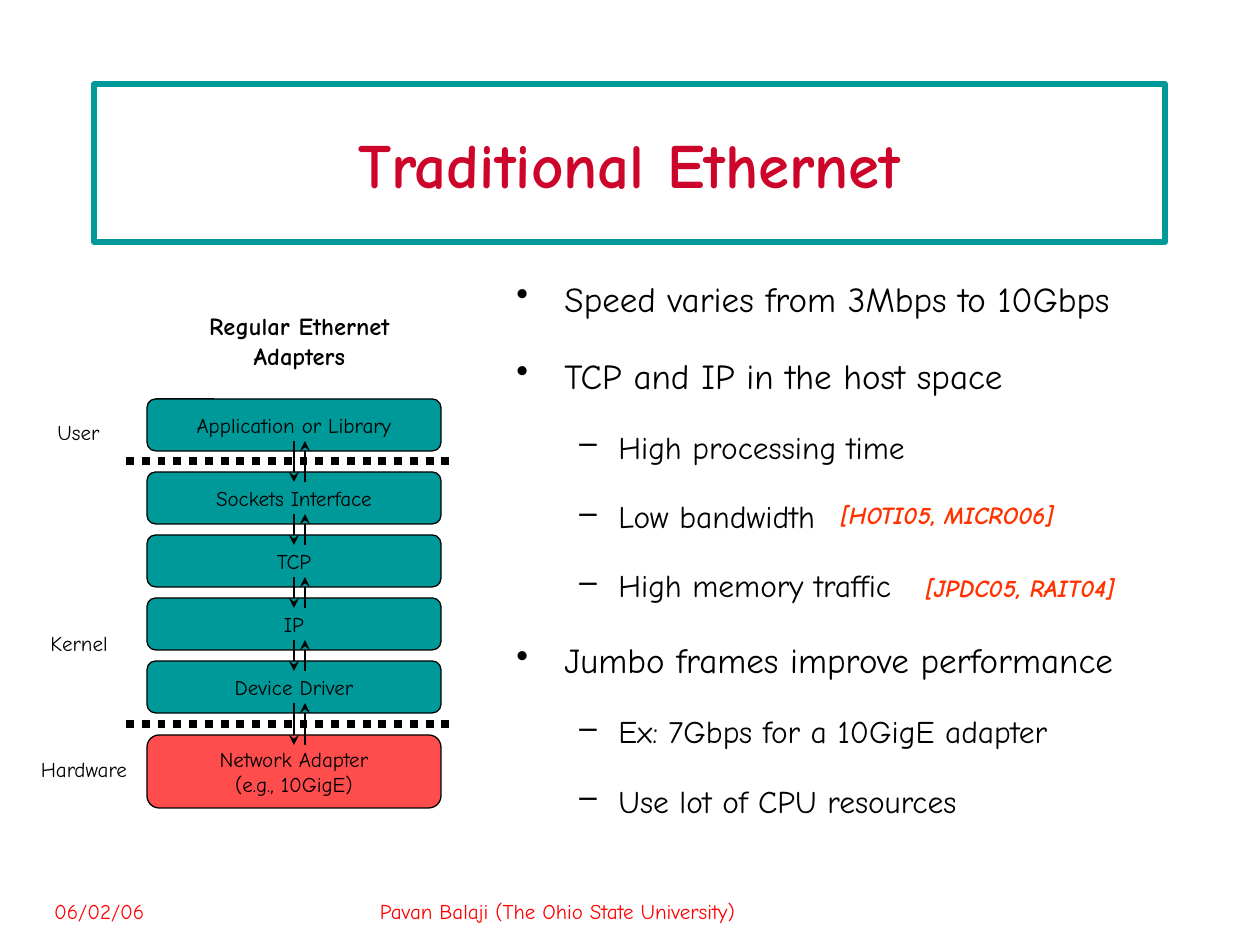
from dataclasses import dataclass
from itertools import pairwise

from lxml.etree import SubElement
from pptx import Presentation
from pptx.dml.color import RGBColor
from pptx.enum.dml import MSO_LINE
from pptx.enum.shapes import MSO_CONNECTOR, MSO_SHAPE
from pptx.enum.text import MSO_ANCHOR, MSO_AUTO_SIZE, PP_ALIGN
from pptx.oxml.ns import qn
from pptx.util import Pt

EMU_PER_PX = 914400 / 126


@dataclass(frozen=True)
class Theme:
    font: str = "Comic Neue"
    white: str = "FFFFFF"
    ink: str = "000000"
    teal: str = "009999"
    title: str = "CD052B"
    red: str = "FF0000"
    cite: str = "FF3300"
    title_size: int = 36
    bullet_sizes: tuple = (20, 18)
    note_size: int = 14
    label_size: int = 12


T = Theme()

LAYERS = [
    (399, 52, ["Application or Library"]),
    (472, 52, ["Sockets Interface"]),
    (535, 52, ["TCP"]),
    (598, 52, ["IP"]),
    (661, 52, ["Device Driver"]),
    (735, 73, ["Network Adapter", "(e.g., 10GigE)"]),
]
BOUNDARIES = (0, 4)
SPACES = [("User", 42, 413, 73), ("Kernel", 32, 624, 94), ("Hardware", 21, 750, 126)]
BULLETS = [
    (0, "Speed varies from 3Mbps to 10Gbps"),
    (0, "TCP and IP in the host space"),
    (1, "High processing time"),
    (1, "Low bandwidth"),
    (1, "High memory traffic"),
    (0, "Jumbo frames improve performance"),
    (1, "Ex: 7Gbps for a 10GigE adapter"),
    (1, "Use lot of CPU resources"),
]
BULLET_STYLES = [("•", 48, 48), ("–", 102, 39)]


def px(n):
    return round(n * EMU_PER_PX)


def rgb(color):
    return RGBColor.from_string(color)


def add_run(p, text, size, color, bold=False, italic=False):
    r = p.add_run()
    r.text = text
    r.font.name = T.font
    r.font.size = Pt(size)
    r.font.color.rgb = rgb(color)
    r.font.bold = bold
    r.font.italic = italic


def paint(sp, fill, line, width):
    sp.fill.solid()
    sp.fill.fore_color.rgb = rgb(fill)
    sp.line.color.rgb = rgb(line)
    sp.line.width = Pt(width)


def add_title(s, text):
    sp = s.shapes.title
    sp.left, sp.top, sp.width, sp.height = px(94), px(84), px(1071), px(158)
    paint(sp, T.white, T.teal, 3)
    tf = sp.text_frame
    tf.auto_size = MSO_AUTO_SIZE.NONE
    tf.vertical_anchor = MSO_ANCHOR.MIDDLE
    p = tf.paragraphs[0]
    p.alignment = PP_ALIGN.CENTER
    add_run(p, text, T.title_size, T.title, bold=True)


def add_text(s, text, x, y, w, h, size=T.label_size, color=T.ink,
             align=PP_ALIGN.LEFT, inset=12, bold=False, italic=False):
    tf = s.shapes.add_textbox(px(x), px(y), px(w), px(h)).text_frame
    tf.word_wrap = True
    tf.margin_left = tf.margin_right = px(inset)
    p = tf.paragraphs[0]
    p.alignment = align
    add_run(p, text, size, color, bold, italic)


def add_bullets(s, items, x, y, w, h):
    tf = s.shapes.add_textbox(px(x), px(y), px(w), px(h)).text_frame
    tf.word_wrap = True
    for i, (level, text) in enumerate(items):
        p = tf.add_paragraph() if i else tf.paragraphs[0]
        char, margin, hang = BULLET_STYLES[level]
        size = T.bullet_sizes[level]
        p.level = level
        pPr = p._p.get_or_add_pPr()
        pPr.set("marL", str(px(margin)))
        pPr.set("indent", str(-px(hang)))
        SubElement(pPr, qn("a:buChar"), char=char)
        p.line_spacing = 1.45
        if i:
            p.space_before = Pt(size * 0.46)
        add_run(p, text, size, T.ink)


def add_layer(s, y, h, lines, fill, alpha=None):
    sp = s.shapes.add_shape(MSO_SHAPE.ROUNDED_RECTANGLE, px(147), px(y), px(294), px(h))
    sp.shadow.inherit = False
    paint(sp, fill, T.ink, 0.75)
    if alpha:
        clr = sp._element.spPr.find(qn("a:solidFill"))[0]
        SubElement(clr, qn("a:alpha"), val=str(alpha * 1000))
    tf = sp.text_frame
    tf.word_wrap = False
    tf.vertical_anchor = MSO_ANCHOR.MIDDLE
    for i, text in enumerate(lines):
        p = tf.add_paragraph() if i else tf.paragraphs[0]
        p.alignment = PP_ALIGN.CENTER
        add_run(p, text, T.label_size, T.ink)


def add_line(s, x1, y1, x2, y2, width, dash=None, arrow=None):
    cx = s.shapes.add_connector(MSO_CONNECTOR.STRAIGHT, px(x1), px(y1), px(x2), px(y2))
    cx.line.color.rgb = rgb(T.ink)
    cx.line.width = Pt(width)
    if dash:
        cx.line.dash_style = dash
    if arrow:
        SubElement(cx.line._get_or_add_ln(), qn(arrow), type="stealth")
    SubElement(cx._element.spPr, qn("a:effectLst"))


def add_stack(s):
    for y, h, lines in LAYERS[:-1]:
        add_layer(s, y, h, lines, T.teal)
    add_layer(s, *LAYERS[-1], T.red, alpha=70)
    for i, ((y, h, _), (below, _, _)) in enumerate(pairwise(LAYERS)):
        bottom = y + h
        if i in BOUNDARIES:
            middle = (bottom + below) // 2
            add_line(s, 126, middle, 451, middle, 4.5, dash=MSO_LINE.ROUND_DOT)
        for x, arrow in ((294, "a:tailEnd"), (305, "a:headEnd")):
            add_line(s, x, bottom - 10, x, below + 10, 1.5, arrow=arrow)
    for text, x, y, w in SPACES:
        add_text(s, text, x, y, w, 38, align=PP_ALIGN.CENTER)


def main():
    prs = Presentation()
    prs.slide_width, prs.slide_height = px(1260), px(945)
    s = prs.slides.add_slide(prs.slide_layouts[5])
    add_title(s, "Traditional Ethernet")
    add_bullets(s, BULLETS, 504, 252, 725, 620)
    add_stack(s)
    add_text(s, "Regular Ethernet Adapters", 147, 305, 305, 72, T.note_size,
             align=PP_ALIGN.CENTER, inset=24, bold=True)
    for text, x, y, w in (("[HOTI05, MICRO06]", 829, 494, 278),
                          ("[JPDC05, RAIT04]", 914, 567, 251)):
        add_text(s, text, x, y, w, 42, T.note_size, T.cite, bold=True, italic=True)
    for text, x, w in (("06/02/06", 42, 294),
                       ("Pavan Balaji (The Ohio State University)", 368, 525)):
        add_text(s, text, x, 892, w, 42, color=T.red)
    prs.save("out.pptx")


if __name__ == "__main__":
    main()
